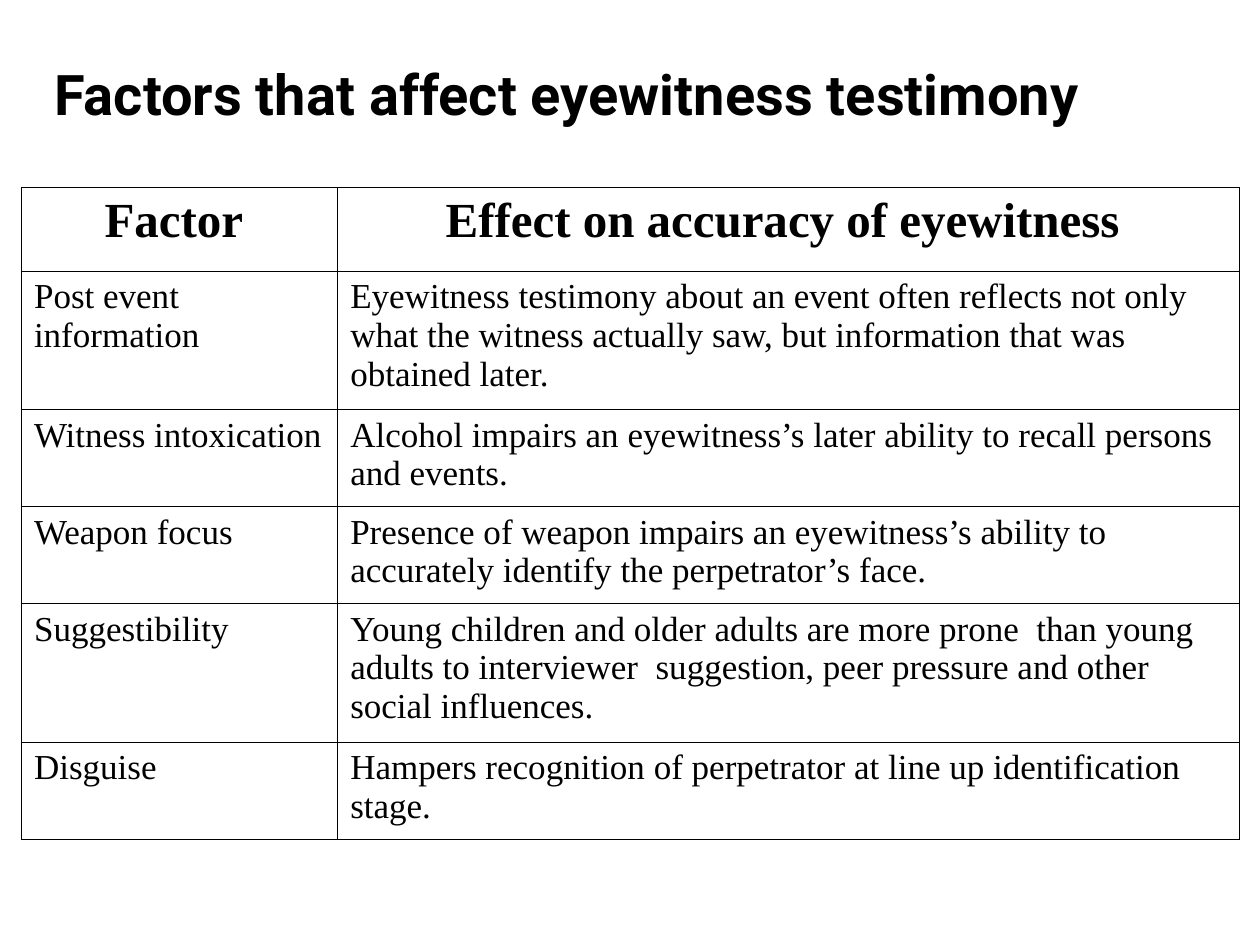
from typing import NamedTuple

from lxml.etree import SubElement
from pptx import Presentation
from pptx.dml.color import RGBColor
from pptx.enum.text import MSO_ANCHOR, PP_ALIGN as Align
from pptx.oxml.ns import qn
from pptx.util import Inches, Pt

COLORS = {"text": "000000", "border": "000000", "paper": "FFFFFF"}
SLIDE_WIDTH, SLIDE_HEIGHT = Inches(10), Inches(7.5)
BORDER_WIDTH = Pt(0.45)

# Table grid: each row is a number of text lines plus its padding
COLUMN_WIDTHS = (2.51, 7.16)
LINE_HEIGHT, ROW_PADDING = 0.33, 0.11
HEADER_HEIGHT = 0.66


class Style(NamedTuple):
    font: str
    size: int
    bold: bool
    align: Align


class Factor(NamedTuple):
    name: str
    effect: str
    lines: int


TITLE = Style("Roboto", 32, True, Align.CENTER)
HEADER = Style("Times New Roman", 28, True, Align.CENTER)
BODY = Style("Times New Roman", 20, False, Align.LEFT)

HEADINGS = ("Factor ", "Effect on accuracy of eyewitness ")
FACTORS = (
    Factor("Post event information",
           "Eyewitness testimony about an event often reflects not only what the "
           "witness actually saw, but information that was obtained later.", 3),
    Factor("Witness intoxication",
           "Alcohol impairs an eyewitness’s later ability to recall persons and events.", 2),
    Factor("Weapon focus",
           "Presence of weapon impairs an eyewitness’s ability to accurately identify "
           "the perpetrator’s face.", 2),
    Factor("Suggestibility",
           "Young children and older adults are more prone  than young adults to "
           "interviewer  suggestion, peer pressure and other social influences.", 3),
    Factor("Disguise",
           "Hampers recognition of perpetrator at line up identification stage.", 2),
)


def write_text(frame, text: str, style: Style) -> None:
    frame.word_wrap = True
    paragraph = frame.paragraphs[0]
    paragraph.alignment = style.align
    run = paragraph.add_run()
    run.text = text
    run.font.name = style.font
    run.font.size = Pt(style.size)
    run.font.bold = style.bold
    run.font.color.rgb = RGBColor.from_string(COLORS["text"])


def add_borders(cell) -> None:
    properties = cell._tc.get_or_add_tcPr()
    for index, side in enumerate(("lnL", "lnR", "lnT", "lnB")):
        line = properties.makeelement(qn(f"a:{side}"), {"w": str(int(BORDER_WIDTH))})
        fill = SubElement(line, qn("a:solidFill"))
        SubElement(fill, qn("a:srgbClr"), val=COLORS["border"])
        properties.insert(index, line)


def fill_cell(cell, text: str, style: Style) -> None:
    cell.fill.background()
    cell.vertical_anchor = MSO_ANCHOR.TOP
    add_borders(cell)
    write_text(cell.text_frame, text, style)


def add_factor_table(slide) -> None:
    heights = [HEADER_HEIGHT]
    heights += [factor.lines * LINE_HEIGHT + ROW_PADDING for factor in FACTORS]
    frame = slide.shapes.add_table(
        len(heights), len(COLUMN_WIDTHS), Inches(0.17), Inches(1.49),
        Inches(sum(COLUMN_WIDTHS)), Inches(sum(heights)))
    table = frame.table
    table.first_row = table.horz_banding = False
    for column, width in zip(table.columns, COLUMN_WIDTHS):
        column.width = Inches(width)
    for row, height in zip(table.rows, heights):
        row.height = Inches(height)

    contents = [(HEADINGS, HEADER)]
    contents += [((factor.name, factor.effect), BODY) for factor in FACTORS]
    for row, (texts, style) in zip(table.rows, contents):
        for cell, text in zip(row.cells, texts):
            fill_cell(cell, text, style)


def add_title(slide) -> None:
    box = slide.shapes.add_textbox(
        0, Inches(0.42), int(SLIDE_WIDTH * 0.9), int(SLIDE_HEIGHT * 0.1))
    write_text(box.text_frame, "Factors that affect eyewitness testimony", TITLE)


def main() -> None:
    presentation = Presentation()
    presentation.slide_width, presentation.slide_height = SLIDE_WIDTH, SLIDE_HEIGHT
    slide = presentation.slides.add_slide(presentation.slide_layouts[6])
    background = slide.background.fill
    background.solid()
    background.fore_color.rgb = RGBColor.from_string(COLORS["paper"])

    add_factor_table(slide)
    add_title(slide)
    presentation.save("out.pptx")


if __name__ == "__main__":
    main()
